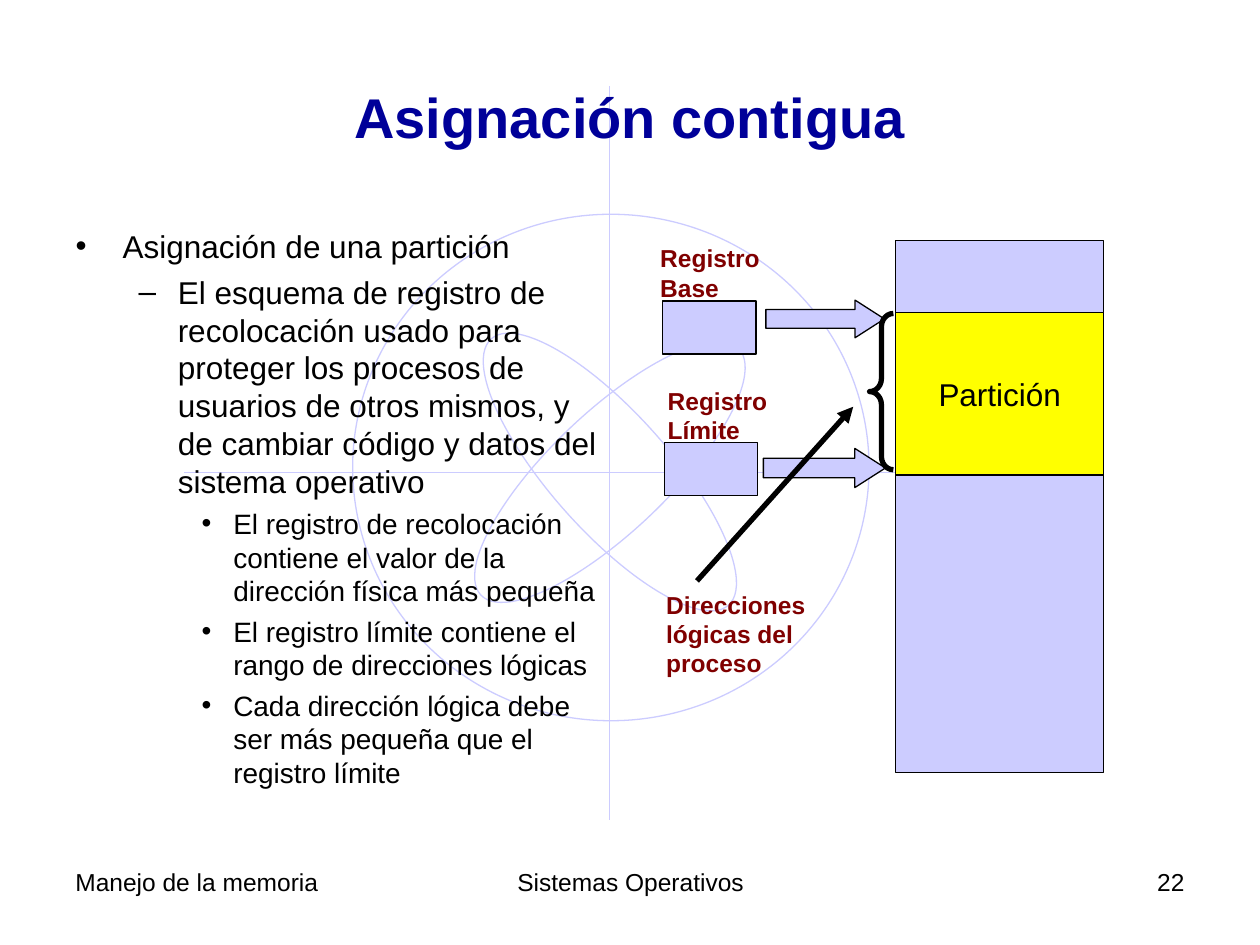
from lxml import etree
from pptx import Presentation
from pptx.dml.color import RGBColor
from pptx.enum.shapes import MSO_CONNECTOR, MSO_SHAPE
from pptx.enum.text import MSO_ANCHOR, MSO_AUTO_SIZE, PP_ALIGN
from pptx.oxml.ns import qn
from pptx.util import Cm, Pt

RECTANGLE, ELLIPSE = MSO_SHAPE.RECTANGLE, MSO_SHAPE.OVAL
ARROW, BRACE = MSO_SHAPE.RIGHT_ARROW, MSO_SHAPE.LEFT_BRACE
STRAIGHT = MSO_CONNECTOR.STRAIGHT
LEFT, CENTER, RIGHT = PP_ALIGN.LEFT, PP_ALIGN.CENTER, PP_ALIGN.RIGHT
TOP, MIDDLE = MSO_ANCHOR.TOP, MSO_ANCHOR.MIDDLE
FIXED, GROW = MSO_AUTO_SIZE.NONE, MSO_AUTO_SIZE.SHAPE_TO_FIT_TEXT

FONT = "Arial"
COLORS = {
    "lavender": "CCCCFF",
    "yellow": "FFFF00",
    "navy": "000099",
    "maroon": "800000",
    "black": "000000",
}
LEVELS = [
    {"size": 18, "before": 4.5, "margin": 0.95, "hanging": 0.95, "bullet": "•"},
    {"size": 18, "before": 4.5, "margin": 2.06, "hanging": 0.79, "bullet": "–"},
    {"size": 16, "before": 4, "margin": 3.18, "hanging": 0.64, "bullet": "•"},
]
BODY = [
    (0, "Asignación de una partición"),
    (1, "El esquema de registro de recolocación usado para proteger los procesos "
        "de usuarios de otros mismos, y de cambiar código y datos del sistema operativo"),
    (2, "El registro de recolocación contiene el valor de la dirección física más pequeña"),
    (2, "El registro límite contiene el rango de direcciones lógicas"),
    (2, "Cada dirección lógica debe ser más pequeña que el registro límite"),
]
LABELS = [
    ("Registro Base", (13.06, 4.78, 2.59, 1.45)),
    ("Registro Límite", (13.21, 7.65, 2.74, 1.45)),
    ("Direcciones lógicas del proceso", (13.18, 11.76, 4.06, 2.03)),
]
REGISTERS = [(13.36, 6.07, 1.88, 1.07), (13.39, 8.92, 1.88, 1.07)]
ARROWS = [(15.44, 6.05, 2.39, 0.76), (15.39, 9.04, 2.46, 0.79)]
FOOTERS = [
    ("Manejo de la memoria", 1.27, 5.92, LEFT),
    ("Sistemas Operativos", 8.69, 8.05, CENTER),
    ("22", 18.21, 5.92, RIGHT),
]


def color(name):
    return RGBColor.from_string(COLORS[name])


def lengths(values):
    return [Cm(value) for value in values]


def place(shape, box):
    shape.left, shape.top, shape.width, shape.height = lengths(box)


def write(paragraph, text, size=18, fill="black", bold=False, align=LEFT):
    paragraph.alignment = align
    run = paragraph.add_run()
    run.text = text
    run.font.name = FONT
    run.font.size = Pt(size)
    run.font.bold = bold
    run.font.color.rgb = color(fill)


def set_line(shape, name, width):
    shape.line.color.rgb = color(name)
    shape.line.width = Pt(width)


def add_figure(shapes, kind, box, fill=None, line="black", width=0.75, adjustments=()):
    shape = shapes.add_shape(kind, *lengths(box))
    shape.shadow.inherit = False
    if fill:
        shape.fill.solid()
        shape.fill.fore_color.rgb = color(fill)
    else:
        shape.fill.background()
    set_line(shape, line, width)
    for index, value in enumerate(adjustments):
        shape.adjustments[index] = value
    return shape


def add_line(shapes, ends, name, width, arrowhead=False):
    connector = shapes.add_connector(STRAIGHT, *lengths(ends))
    set_line(connector, name, width)
    if arrowhead:
        etree.SubElement(connector.line._ln, qn("a:tailEnd"), type="triangle")
    etree.SubElement(connector._element.spPr, qn("a:effectLst"))


def add_text(slide, text, box, auto_size=FIXED, **style):
    frame = slide.shapes.add_textbox(*lengths(box)).text_frame
    frame.word_wrap = True
    frame.auto_size = auto_size
    write(frame.paragraphs[0], text, **style)


def add_background(slide):
    group = slide.shapes.add_group_shape()
    for ends in [(12.29, 1.73, 12.29, 16.54), (3.71, 9.53, 20.9, 9.53)]:
        add_line(group.shapes, ends, "lavender", 0.75)
    add_figure(group.shapes, ELLIPSE, (7.11, 4.32, 10.41, 10.21), line="lavender")
    for rotation in (46.3, 318.3):
        orbit = add_figure(group.shapes, ELLIPSE, (11.1, 5.92, 2.39, 7.19), line="lavender")
        orbit.rotation = rotation
    slide.shapes._spTree.insert(2, group._element)


def fill_title(slide):
    title = slide.shapes.title
    place(title, (1.27, 0.76, 22.86, 3.18))
    frame = title.text_frame
    frame.vertical_anchor = MIDDLE
    frame.auto_size = FIXED
    write(frame.paragraphs[0], "Asignación contigua", size=32, fill="navy", bold=True, align=CENTER)


def fill_body(slide):
    body = slide.placeholders[1]
    place(body, (1.27, 4.45, 11.23, 12.57))
    frame = body.text_frame
    frame.vertical_anchor = TOP
    frame.auto_size = FIXED
    for index, (level, text) in enumerate(BODY):
        paragraph = frame.add_paragraph() if index else frame.paragraphs[0]
        style = LEVELS[level]
        paragraph.level = level
        paragraph.space_before = Pt(style["before"])
        write(paragraph, text, size=style["size"])
        properties = paragraph._p.get_or_add_pPr()
        properties.set("marL", str(Cm(style["margin"])))
        properties.set("indent", str(-Cm(style["hanging"])))
        etree.SubElement(properties, qn("a:buChar"), char=style["bullet"])


def add_memory(slide):
    add_figure(slide.shapes, RECTANGLE, (18.06, 4.85, 4.19, 10.72), fill="lavender")
    partition = add_figure(slide.shapes, RECTANGLE, (18.06, 6.3, 4.19, 3.28), fill="yellow")
    frame = partition.text_frame
    frame.word_wrap = False
    frame.vertical_anchor = MIDDLE
    write(frame.paragraphs[0], "Partición", align=CENTER)


def add_diagram(slide):
    add_memory(slide)
    for box in REGISTERS:
        add_figure(slide.shapes, RECTANGLE, box, fill="lavender")
    for box in ARROWS:
        add_figure(slide.shapes, ARROW, box, fill="lavender", adjustments=(0.5, 0.78))
    add_figure(slide.shapes, BRACE, (17.53, 6.32, 0.48, 3.15), width=3, adjustments=(0.55, 0.5))
    for text, box in LABELS:
        add_text(slide, text, box, auto_size=GROW, size=14, fill="maroon", bold=True)
    add_line(slide.shapes, (14.05, 11.71, 17.2, 8.2), "black", 3, arrowhead=True)


def add_footers(slide):
    for text, left, width, align in FOOTERS:
        add_text(slide, text, (left, 17.35, width, 1.32), size=14, align=align)


def main():
    presentation = Presentation()
    presentation.slide_width, presentation.slide_height = Cm(25.4), Cm(19.05)
    slide = presentation.slides.add_slide(presentation.slide_layouts[1])
    add_background(slide)
    fill_title(slide)
    fill_body(slide)
    add_diagram(slide)
    add_footers(slide)
    presentation.save("out.pptx")


if __name__ == "__main__":
    main()
